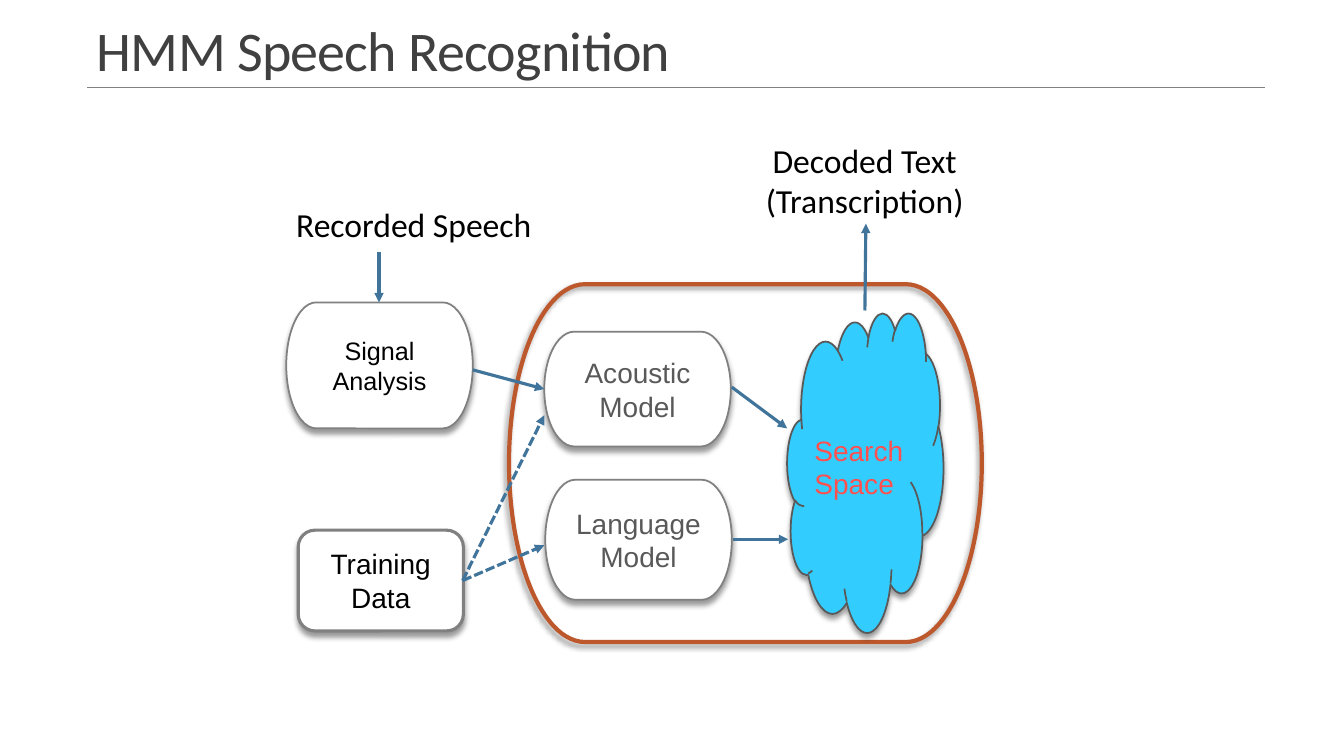
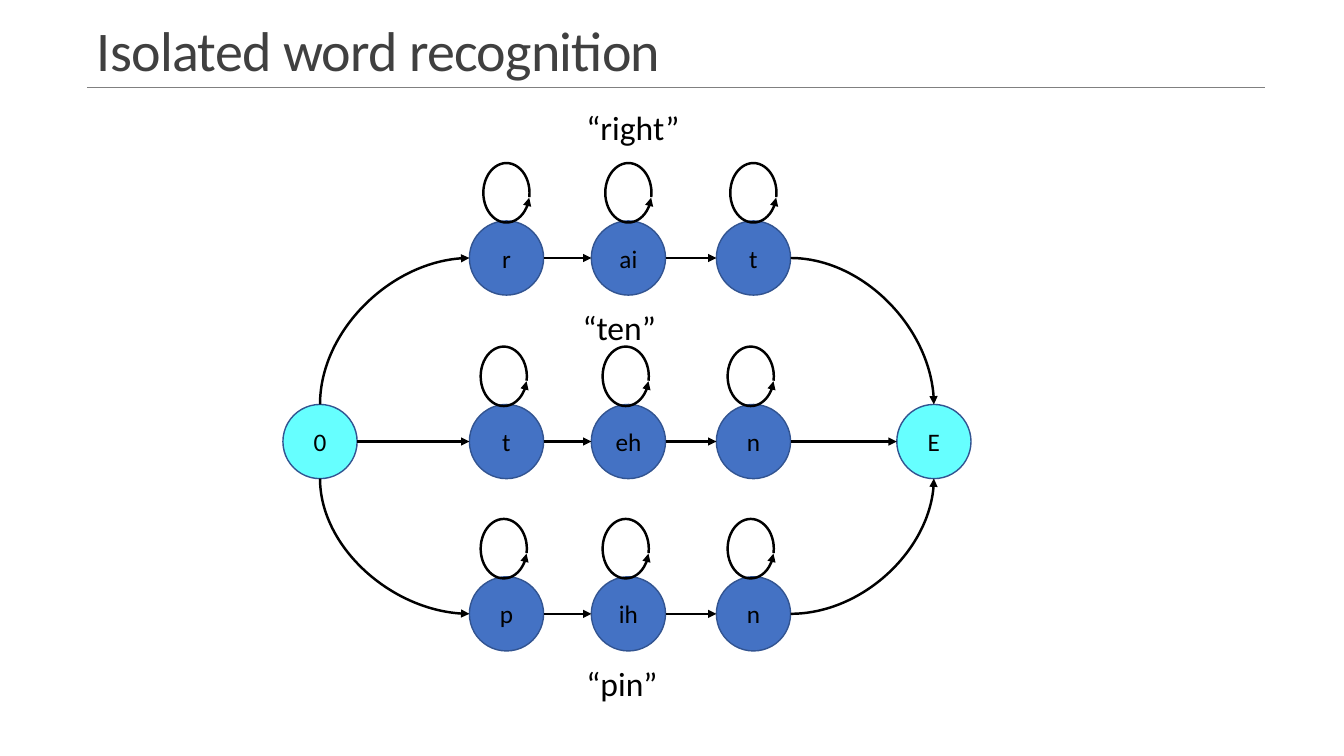
"""Build two slides on HMM speech recognition."""
from dataclasses import dataclass
from typing import NamedTuple, Optional

from lxml.etree import SubElement
from pptx import Presentation
from pptx.dml.color import RGBColor as RGB
from pptx.enum.dml import MSO_LINE
from pptx.enum.shapes import MSO_CONNECTOR as CXN, MSO_SHAPE as SHP
from pptx.enum.text import MSO_ANCHOR as ANCHOR, MSO_AUTO_SIZE as FIT, PP_ALIGN as AL
from pptx.oxml.ns import qn
from pptx.util import Pt


@dataclass(frozen=True)
class Theme:
    title: str = "404040"
    text: str = "000000"
    muted: str = "595959"
    accent: str = "FF5050"
    gray: str = "808080"
    white: str = "FFFFFF"
    frame: str = "BD582C"
    arrow: str = "40749B"
    cloud: str = "33CCFF"
    state: str = "4472C4"
    end_state: str = "66FFFF"
    state_line: str = "325491"
    sans: str = "Calibri"
    box_font: str = "Arial"
    title_size: int = 40
    label_size: int = 24
    box_size: int = 20
    small_size: int = 18


T = Theme()


class Rect(NamedTuple):
    x: float
    y: float
    w: float
    h: float


class Point(NamedTuple):
    x: float
    y: float


class Style(NamedTuple):
    size: int
    color: str = T.text
    font: str = T.sans
    align: AL = AL.CENTER


@dataclass(frozen=True)
class Box:
    kind: SHP
    rect: Rect
    text: str = ""
    style: Style = Style(T.box_size, T.muted, T.box_font)
    fill: Optional[str] = T.white
    line: str = T.gray
    width: float = 1.25
    shadow_angle: Optional[int] = 90


@dataclass(frozen=True)
class Label:
    rect: Rect
    text: str
    style: Style


@dataclass(frozen=True)
class Arrow:
    start: Point
    end: Point
    dashed: bool = False


@dataclass(frozen=True)
class Word:
    label: Label
    phones: tuple[str, ...]
    y: float
    loop_dx: float


LEFT_LABEL = Style(T.label_size, align=AL.LEFT)
STATE_STYLE = Style(T.small_size)
STATE_SIZE = 53
LOOP_W, LOOP_H, LOOP_RISE = 42.5, 33, 46.6
TOP, LEFT, BOTTOM, RIGHT = 0, 2, 4, 6
STATE_XS = (361.8, 448.9, 538.2)
START_X, END_X, MIDDLE_Y = 228.6, 667.1, 315.4

BOXES = (
    Box(SHP.FLOWCHART_TERMINATOR, Rect(204.5, 216, 133.2, 90), "Signal Analysis",
        Style(T.small_size, T.text, T.box_font)),
    Box(SHP.ROUNDED_RECTANGLE, Rect(213, 378.7, 118, 72), "Training Data",
        Style(T.box_size, T.text, T.box_font), width=2.25),
    Box(SHP.FLOWCHART_TERMINATOR, Rect(363.6, 203, 337.7, 255.6),
        fill=None, line=T.frame, width=3, shadow_angle=135),
    Box(SHP.FLOWCHART_TERMINATOR, Rect(388.8, 236.9, 133.2, 82), "Acoustic Model"),
    Box(SHP.FLOWCHART_TERMINATOR, Rect(389.5, 342.7, 133.2, 85.7), "Language Model"),
    Box(SHP.CLOUD, Rect(562.3, 223.2, 111.6, 228.2), fill=T.cloud, line=T.muted),
)
TRAINING_OUT = Point(330.5, 414.7)
ARROWS = (
    Arrow(Point(337.7, 264.2), Point(388.8, 277.9)),
    Arrow(TRAINING_OUT, Point(388.8, 296.6), True),
    Arrow(TRAINING_OUT, Point(388.8, 389.5), True),
    Arrow(Point(270.7, 180), Point(270.7, 216)),
    Arrow(Point(522.7, 276.5), Point(562.3, 306)),
    Arrow(Point(523.4, 385.2), Point(563, 385.2)),
    Arrow(Point(617.8, 221.8), Point(618.5, 159.8)),
)
LABELS = (
    Label(Rect(204.5, 141.8, 197.3, 36), "Recorded Speech", LEFT_LABEL),
    Label(Rect(574.6, 306, 80.6, 55.4), "Search Space",
          Style(T.box_size, T.accent, T.box_font, AL.LEFT)),
    Label(Rect(519, 96.5, 197.3, 65.5), "Decoded Text\n(Transcription)", Style(T.label_size)),
)
WORDS = (
    Word(Label(Rect(411.8, 72.7, 90, 36), "“right”", LEFT_LABEL), ("r", "ai", "t"), 184.3, 0),
    Word(Label(Rect(409, 216, 90, 36), "“ten”", LEFT_LABEL), ("t", "eh", "n"), MIDDLE_Y, -1.9),
    Word(Label(Rect(411.8, 470.2, 90, 36), "“pin”", LEFT_LABEL), ("p", "ih", "n"), 438.5, -1.9),
)


def pts(values: tuple) -> list[Pt]:
    return [Pt(v) for v in values]


def write(tf, text: str, style: Style) -> None:
    tf.text = text
    tf.word_wrap = True
    for p in tf.paragraphs:
        p.alignment = style.align
        p.font.size = Pt(style.size)
        p.font.name = style.font
        p.font.color.rgb = RGB.from_string(style.color)


def stroke(s, color: str, width: float, arrow_end: str = "") -> None:
    s.line.color.rgb = RGB.from_string(color)
    s.line.width = Pt(width)
    if arrow_end:
        ln = s.element.find(qn("p:spPr")).find(qn("a:ln"))
        SubElement(ln, qn(f"a:{arrow_end}"), type="triangle")


def draw_box(slide, box: Box):
    s = slide.shapes.add_shape(box.kind, *pts(box.rect))
    if box.fill:
        s.fill.solid()
        s.fill.fore_color.rgb = RGB.from_string(box.fill)
    else:
        s.fill.background()
    stroke(s, box.line, box.width)
    s.shadow.inherit = False
    if box.shadow_angle is not None:
        effects = s.element.find(qn("p:spPr")).find(qn("a:effectLst"))
        shadow = SubElement(effects, qn("a:outerShdw"), blurRad=str(Pt(4)), dist=str(Pt(3)),
                            dir=str(box.shadow_angle * 60000), rotWithShape="0")
        color = SubElement(shadow, qn("a:srgbClr"), val=T.text)
        SubElement(color, qn("a:alpha"), val="40000")
    if box.text:
        write(s.text_frame, box.text, box.style)
        s.text_frame.vertical_anchor = ANCHOR.MIDDLE
    return s


def draw_label(slide, label: Label) -> None:
    s = slide.shapes.add_textbox(*pts(label.rect))
    write(s.text_frame, label.text, label.style)


def draw_line(slide, start: Point, end: Point, color: str, width: float,
              arrow_end: str = "", dashed: bool = False, kind: CXN = CXN.STRAIGHT):
    c = slide.shapes.add_connector(kind, *pts(start + end))
    if dashed:
        c.line.dash_style = MSO_LINE.SQUARE_DOT
    stroke(c, color, width, arrow_end)
    SubElement(c.element.find(qn("p:spPr")), qn("a:effectLst"))
    return c


def draw_state(slide, text: str, x: float, y: float, fill: str):
    half = STATE_SIZE / 2
    s = draw_box(slide, Box(SHP.OVAL, Rect(x - half, y - half, STATE_SIZE, STATE_SIZE), text,
                            STATE_STYLE, fill, T.state_line, 1, None))
    tf = s.text_frame
    tf.margin_left = tf.margin_right = tf.margin_top = tf.margin_bottom = 0
    return s


def draw_loop(slide, x: float, y: float) -> None:
    s = slide.shapes.add_shape(SHP.ARC, *pts((x - LOOP_W / 2, y - LOOP_H / 2, LOOP_W, LOOP_H)))
    s.rotation = 270
    s.adjustments[0], s.adjustments[1] = 61.32, 60.48
    s.fill.background()
    s.shadow.inherit = False
    stroke(s, T.text, 1.75, "headEnd")


def site(s, side: int) -> Point:
    dx, dy = {TOP: (0.5, 0), LEFT: (0, 0.5), BOTTOM: (0.5, 1), RIGHT: (1, 0.5)}[side]
    return Point((s.left + dx * s.width) / Pt(1), (s.top + dy * s.height) / Pt(1))


def connect(slide, a, a_side: int, b, b_side: int, arrow_end: str = "tailEnd",
            curved: bool = False) -> None:
    c = draw_line(slide, site(a, a_side), site(b, b_side), T.text, 1.75, arrow_end,
                  kind=CXN.CURVE if curved else CXN.STRAIGHT)
    if curved:
        c.element.find(qn("p:spPr")).find(qn("a:prstGeom")).set("prst", "curvedConnector2")
    links = next(c.element.iter(qn("p:cNvCxnSpPr")))
    for tag, s, side in (("a:stCxn", a, a_side), ("a:endCxn", b, b_side)):
        SubElement(links, qn(tag), id=str(s.shape_id), idx=str(side))


def add_titled_slide(prs, layout, text: str):
    slide = prs.slides.add_slide(layout)
    tf = slide.shapes.title.text_frame
    write(tf, text, Style(T.title_size, T.title, align=AL.LEFT))
    tf.vertical_anchor = ANCHOR.BOTTOM
    tf.auto_size = FIT.NONE
    tf.paragraphs[0].line_spacing = 0.85
    next(slide.shapes.title.element.iter(qn("a:defRPr"))).set("spc", "-50")
    return slide


def prepare_layout(layout) -> None:
    title, *footers = layout.placeholders
    title.left, title.top, title.width, title.height = pts((62, 9.4, 842, 53.3))
    for ph in footers:
        ph.element.getparent().remove(ph.element)


def draw_recognizer(slide) -> None:
    for box in BOXES:
        draw_box(slide, box)
    for arrow in ARROWS:
        draw_line(slide, arrow.start, arrow.end, T.arrow, 2.25, "tailEnd", arrow.dashed)
    for label in LABELS:
        draw_label(slide, label)


def draw_word_network(slide) -> None:
    start = draw_state(slide, "0", START_X, MIDDLE_Y, T.end_state)
    end = draw_state(slide, "E", END_X, MIDDLE_Y, T.end_state)
    for word in WORDS:
        states = [draw_state(slide, phone, x, word.y, T.state)
                  for phone, x in zip(word.phones, STATE_XS)]
        for x in STATE_XS:
            draw_loop(slide, x + word.loop_dx, word.y - LOOP_RISE)
        for a, b in zip(states, states[1:]):
            connect(slide, a, RIGHT, b, LEFT)
        first, last = states[0], states[-1]
        if word.y == MIDDLE_Y:
            connect(slide, start, RIGHT, first, LEFT)
            connect(slide, last, RIGHT, end, LEFT)
        else:
            side = TOP if word.y < MIDDLE_Y else BOTTOM
            connect(slide, first, LEFT, start, side, "headEnd", True)
            connect(slide, last, RIGHT, end, side, "tailEnd", True)
        draw_label(slide, word.label)


def main() -> None:
    prs = Presentation()
    prs.slide_width, prs.slide_height = Pt(960), Pt(540)
    layout = prs.slide_layouts[5]
    prepare_layout(layout)
    recognizer = add_titled_slide(prs, layout, "HMM Speech Recognition")
    rule = draw_line(recognizer, Point(62, 62.7), Point(903.6, 62.7), T.gray, 0.5)
    layout.shapes.element.append(rule.element)
    draw_recognizer(recognizer)
    draw_word_network(add_titled_slide(prs, layout, "Isolated word recognition"))
    prs.save("out.pptx")


if __name__ == "__main__":
    main()
